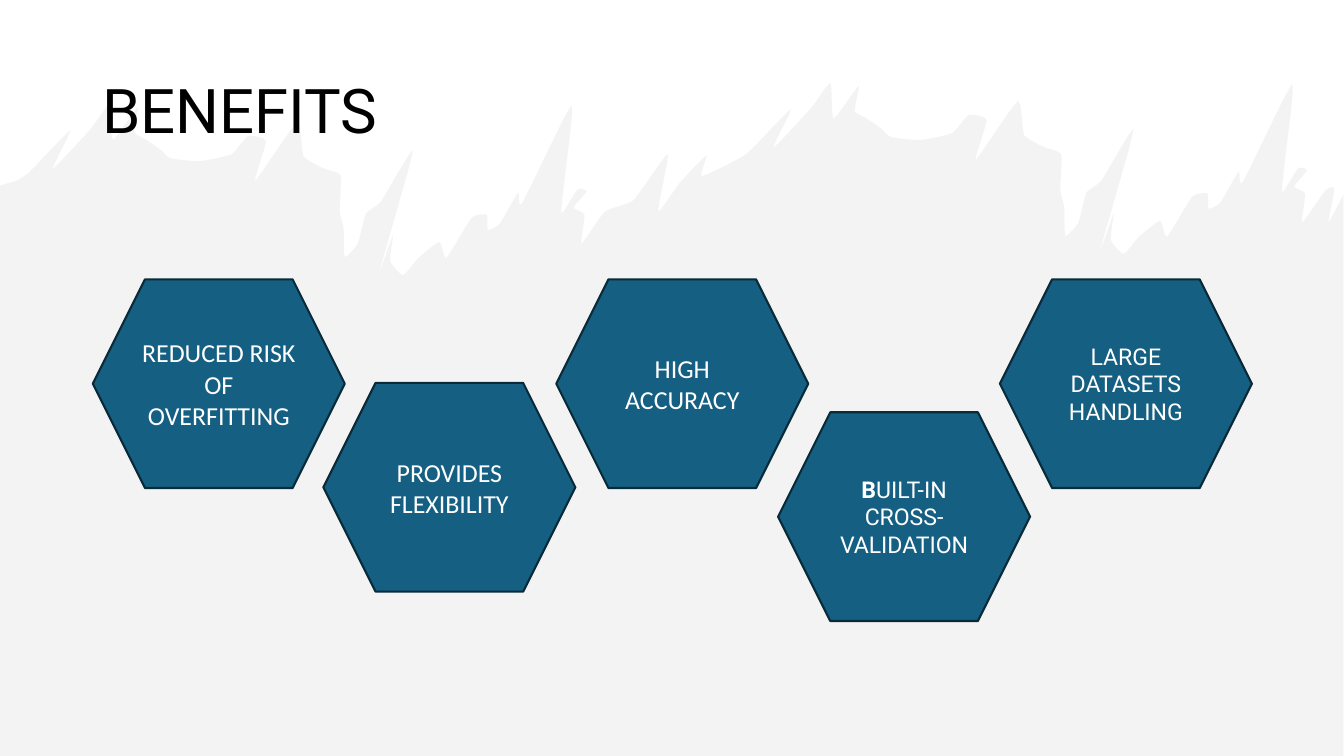
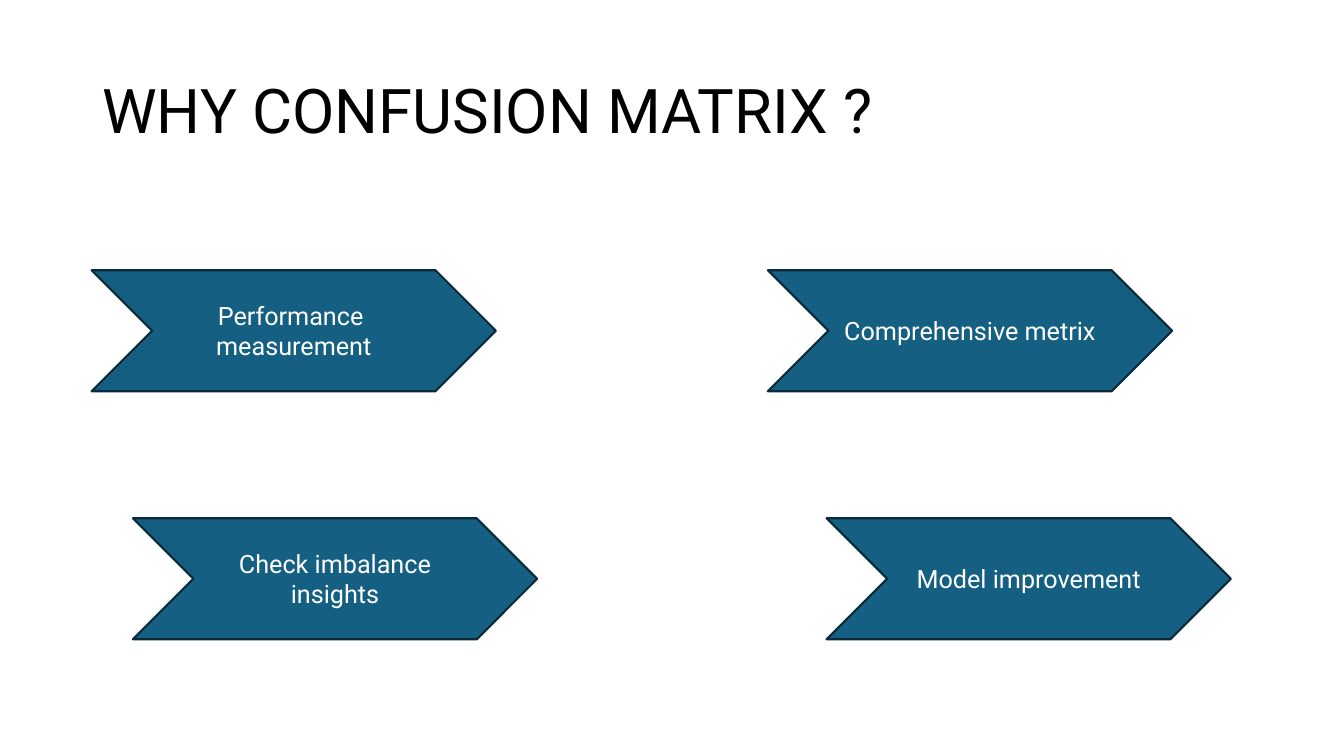
from dataclasses import dataclass

from lxml.etree import SubElement
from pptx import Presentation
from pptx.dml.color import RGBColor
from pptx.enum.shapes import MSO_SHAPE
from pptx.enum.text import MSO_ANCHOR, PP_ALIGN
from pptx.oxml.ns import qn
from pptx.util import Cm, Pt

BLUE = "156082"
DARK_BLUE = "092A39"
WHITE = "FFFFFF"
BLACK = "000000"
GREY = "E8E8E8"
ROBOTO = "Roboto"
CALIBRI = "Calibri"

Point = tuple[float, float]

# Brush edge in hundredths of an inch, from left to right; the splash occurs twice.
UNIT = Cm(0.0254)
CURVE_STEPS = 4
TENSION = 0.25
SPLASH_SHIFT: Point = (715, -21)
LEFT_EDGE: list[Point] = [(0, 184), (17, 179), (30, 170)]
SPLASH: list[Point] = [
    (70, 129), (52, 168), (90, 128), (109, 103), (112, 139), (137, 106), (133, 131),
    (144, 138), (160, 149), (169, 157), (198, 160), (230, 153), (246, 135), (264, 140),
    (253, 180), (295, 121), (301, 155), (321, 167), (338, 174), (337, 209), (341, 227),
    (342, 255), (355, 242), (363, 212), (378, 200), (410, 149), (376, 271), (390, 233),
    (387, 259), (400, 273), (415, 256), (436, 240), (443, 256), (468, 216), (483, 213),
    (484, 228), (496, 222), (514, 191), (518, 202), (567, 104), (561, 171), (557, 212),
    (573, 188), (582, 190), (569, 206), (580, 213), (577, 242), (600, 210),
]
BETWEEN_SPLASHES: list[Point] = [
    (627, 200), (643, 179), (663, 153), (653, 210), (674, 182), (701, 154), (696, 175),
    (732, 158), (745, 149),
]
RIGHT_EDGE: list[Point] = [(1324, 187), (1318, 221), (1333, 193)]
BOTTOM_CORNERS: list[Point] = [(1333, 750), (0, 750)]


@dataclass
class Card:
    text: str
    left: float
    top: float
    font: str = ROBOTO
    size: float = 18
    bold_letters: int = 0


@dataclass
class CardStyle:
    outline: MSO_SHAPE
    width: float
    height: float
    space_after: float = 0


HEXAGON = CardStyle(MSO_SHAPE.HEXAGON, 6.35, 5.26, space_after=6)
CHEVRON = CardStyle(MSO_SHAPE.CHEVRON, 10.19, 3.05)

UPPER_HEXAGON_TOP = 7.04
BENEFITS = [
    Card("REDUCED RISK OF OVERFITTING", 2.34, UPPER_HEXAGON_TOP, CALIBRI, 18.5),
    Card("PROVIDES FLEXIBILITY", 8.15, 9.65, CALIBRI, 18.5),
    Card("HIGH ACCURACY", 14.02, UPPER_HEXAGON_TOP, CALIBRI, 18.5),
    Card("BUILT-IN CROSS-VALIDATION", 19.61, 10.39, size=16.5, bold_letters=1),
    Card("LARGE DATASETS HANDLING", 25.2, UPPER_HEXAGON_TOP, size=16.5),
]
UPPER_CHEVRON_TOP, LOWER_CHEVRON_TOP = 6.81, 13.06
REASONS = [
    Card("Performance \nmeasurement", 2.31, UPPER_CHEVRON_TOP),
    Card("Check imbalance insights", 3.35, LOWER_CHEVRON_TOP),
    Card("Comprehensive metrix", 19.35, UPPER_CHEVRON_TOP),
    Card("Model improvement", 20.83, LOWER_CHEVRON_TOP),
]


def rgb(value: str) -> RGBColor:
    return RGBColor.from_string(value)


def write_text(shape, text: str, *, font: str, size: float, color: str, align=PP_ALIGN.LEFT,
               line_spacing: float = 1.0, space_after: float = 0, bold_letters: int = 0) -> None:
    """Fill the shape with one paragraph per line; the first bold_letters are bold."""
    frame = shape.text_frame
    frame.word_wrap = True
    frame.vertical_anchor = MSO_ANCHOR.MIDDLE
    for index, line in enumerate(text.split("\n")):
        paragraph = frame.add_paragraph() if index else frame.paragraphs[0]
        paragraph.alignment = align
        paragraph.line_spacing = line_spacing
        paragraph.space_after = Pt(space_after)
        for part, bold in ((line[:bold_letters], True), (line[bold_letters:], False)):
            if part:
                run = paragraph.add_run()
                run.text = part
                run.font.name = font
                run.font.size = Pt(size)
                run.font.bold = bold
                run.font.color.rgb = rgb(color)


def add_title(slide, text: str) -> None:
    title = slide.shapes.add_textbox(Cm(2.33), Cm(1.01), Cm(29.21), Cm(3.68))
    write_text(title, text, font=ROBOTO, size=44, color=BLACK, line_spacing=0.9)


def add_card(slide, card: Card, style: CardStyle) -> None:
    shape = slide.shapes.add_shape(style.outline, Cm(card.left), Cm(card.top),
                                   Cm(style.width), Cm(style.height))
    shape.shadow.inherit = False
    shape.fill.solid()
    shape.fill.fore_color.rgb = rgb(BLUE)
    shape.line.color.rgb = rgb(DARK_BLUE)
    shape.line.width = Pt(1.5)
    write_text(shape, card.text, font=card.font, size=card.size, color=WHITE,
               align=PP_ALIGN.CENTER, space_after=style.space_after,
               bold_letters=card.bold_letters)


def smooth_curve(points: list[Point]) -> list[Point]:
    """Points along a cardinal spline through the given points."""
    padded = [points[0], *points, points[-1]]
    curve = [points[0]]
    for before, start, end, after in zip(padded, padded[1:], padded[2:], padded[3:]):
        for step in range(1, CURVE_STEPS + 1):
            t = step / CURVE_STEPS
            blend = t * t * (3 - 2 * t)
            leaving = TENSION * t * (1 - t) ** 2
            arriving = TENSION * t * t * (t - 1)
            curve.append(tuple(
                s + blend * (e - s) + leaving * (e - b) + arriving * (a - s)
                for b, s, e, a in zip(before, start, end, after)))
    return curve


def add_brush_background(slide) -> None:
    shift_x, shift_y = SPLASH_SHIFT
    second_splash = [(x + shift_x, y + shift_y) for x, y in SPLASH]
    edge = smooth_curve(LEFT_EDGE + SPLASH + BETWEEN_SPLASHES + second_splash + RIGHT_EDGE)
    corners = [(x * UNIT, y * UNIT) for x, y in edge + BOTTOM_CORNERS]

    builder = slide.shapes.build_freeform(*corners[0])
    builder.add_line_segments(corners[1:], close=True)
    brush = builder.convert_to_shape()
    brush.shadow.inherit = False
    brush.line.fill.background()
    brush.fill.solid()
    brush.fill.fore_color.rgb = rgb(GREY)
    color = next(brush.element.iter(qn("a:srgbClr")))
    SubElement(color, qn("a:alpha"), val="50000")


def main() -> None:
    deck = Presentation()
    deck.slide_width, deck.slide_height = Cm(33.87), Cm(19.05)
    blank = deck.slide_layouts[6]

    benefits = deck.slides.add_slide(blank)
    add_brush_background(benefits)
    add_title(benefits, "BENEFITS")
    for card in BENEFITS:
        add_card(benefits, card, HEXAGON)

    reasons = deck.slides.add_slide(blank)
    add_title(reasons, "WHY CONFUSION MATRIX ?")
    for card in REASONS:
        add_card(reasons, card, CHEVRON)

    deck.save("out.pptx")


if __name__ == "__main__":
    main()
